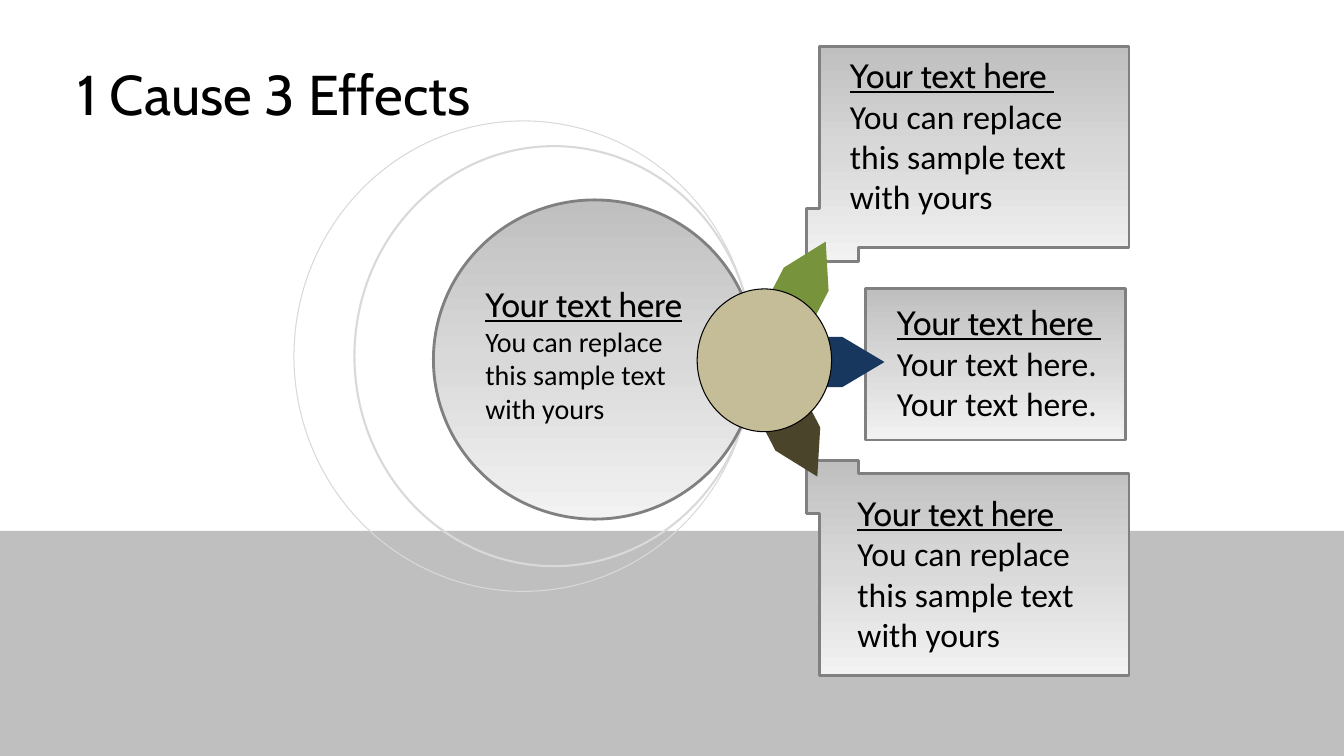
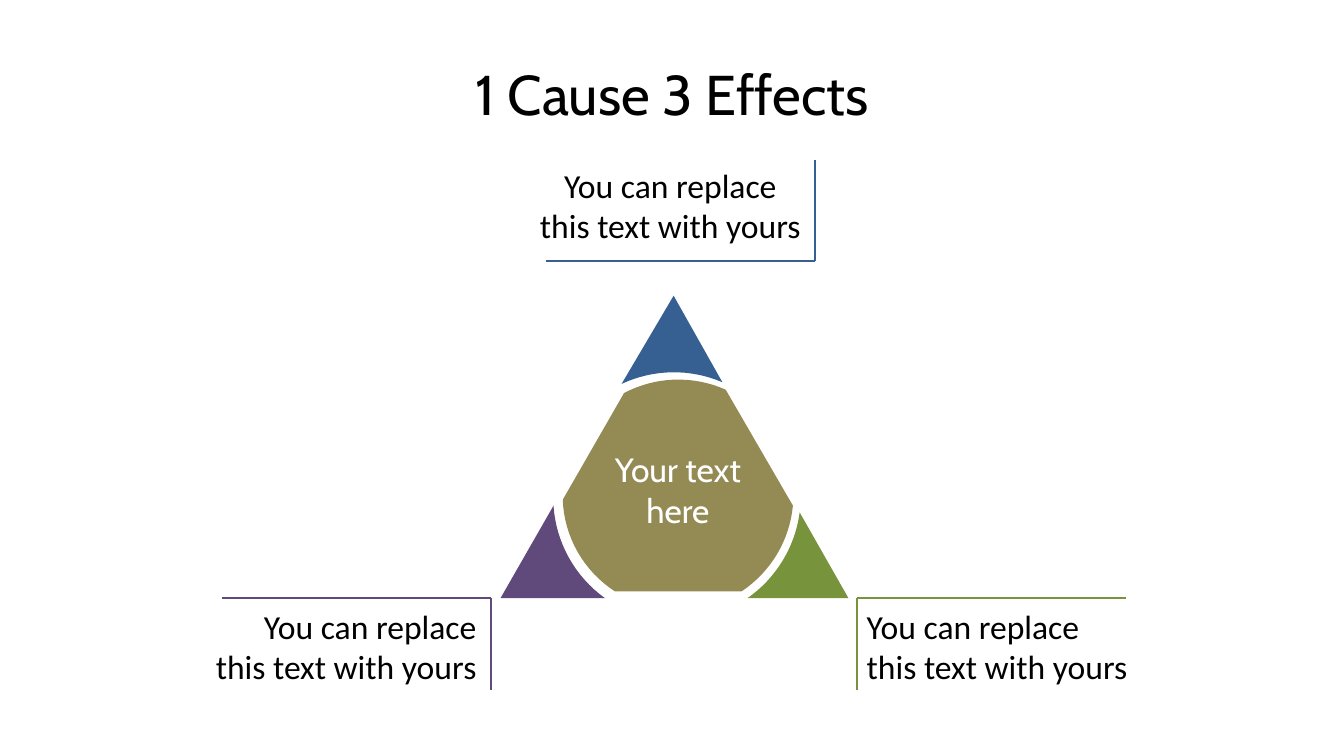
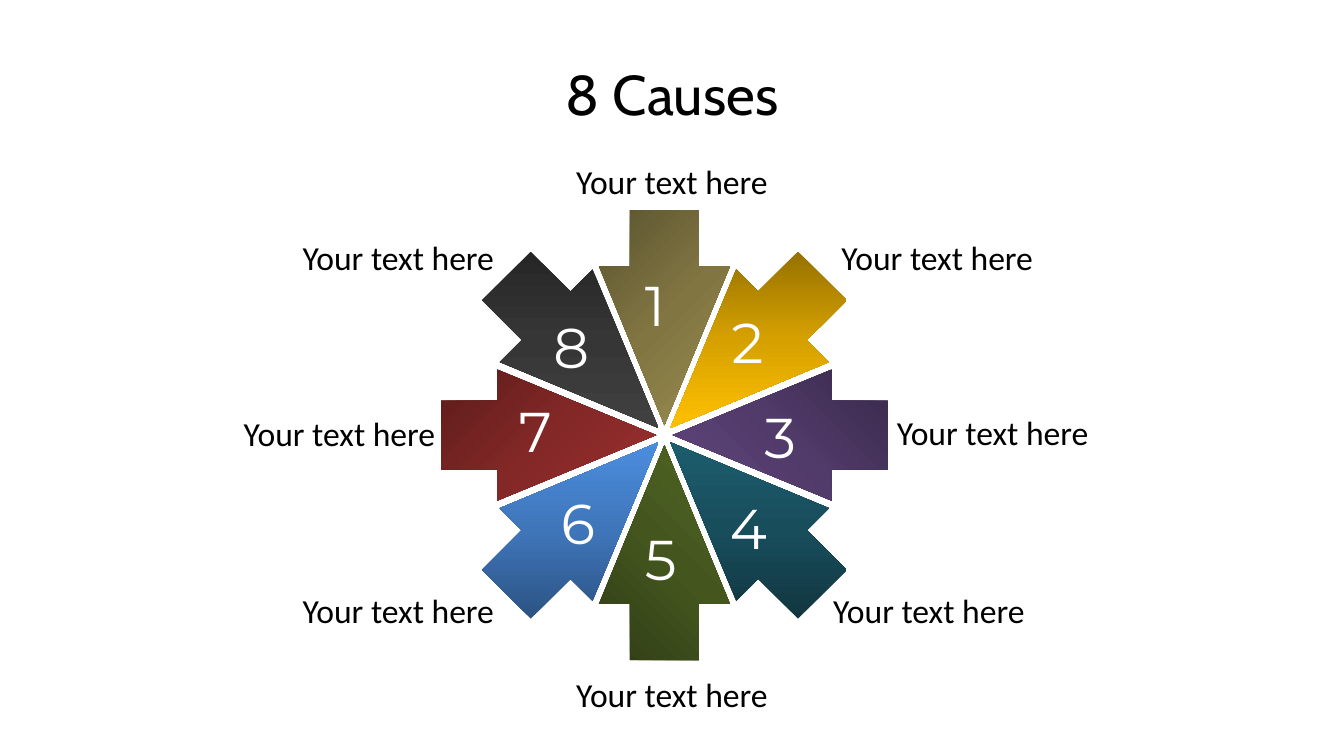
from dataclasses import dataclass
from math import atan2, cos, hypot, pi, radians, sin

from lxml.etree import SubElement
from pptx import Presentation
from pptx.dml.color import RGBColor
from pptx.enum.shapes import MSO_CONNECTOR, MSO_SHAPE
from pptx.enum.text import MSO_ANCHOR, MSO_AUTO_SIZE, PP_ALIGN
from pptx.oxml.ns import qn
from pptx.util import Inches, Pt

LEFT, MID, RIGHT = PP_ALIGN.LEFT, PP_ALIGN.CENTER, PP_ALIGN.RIGHT
COLS, ROWS = 160, 90  # square grid cells on every slide


@dataclass(frozen=True)
class Type:
    font: str
    size: int
    color: str = "000000"
    under: bool = False


class Theme:
    # Colours
    band, ring, edge = "BFBFBF", "D9D9D9", "808080"
    silver = ("BFBFBF", "D9D9D9", "F2F2F2")
    black, sand, khaki, bark = "000000", "C4BD97", "948A54", "4A452A"
    green, navy, blue, purple = "77933C", "17375E", "376092", "604A7B"
    wheel = ("998D4F", "FFC000", "60467E", "1C5C6D",
             "516624", "4B8DDE", "9C302E", "404040")
    # Type
    title = Type("Cabin", 40)
    head = Type("Cabin", 24, under=True)
    core = Type("Cabin", 24, "FFFFFF")
    body = Type("Calibri", 24)
    small = Type("Calibri", 20)
    digit = Type("Montserrat", 40, "FFFFFF")


def shades(color):
    """Dark, middle and full tone of a colour."""
    parts = [int(color[i:i + 2], 16) for i in (0, 2, 4)]
    return ["".join(f"{round(p * k):02X}" for p in parts)
            for k in (0.59, 0.84, 1)]


def arc(mid, start, end, steps=16):
    """Points on the shorter arc around mid, from start to end."""
    (sx, sy), (ex, ey) = [(x - mid[0], y - mid[1]) for x, y in (start, end)]
    turn = atan2(sy, sx)
    sweep = (atan2(ey, ex) - turn + pi) % (2 * pi) - pi
    near, far = hypot(sx, sy), hypot(ex, ey)
    points = []
    for i in range(steps + 1):
        t = i / steps
        r, a = near + (far - near) * t, turn + sweep * t
        points.append((mid[0] + r * cos(a), mid[1] + r * sin(a)))
    return points


class Deck:
    def __init__(self, theme):
        self.theme = theme
        self.prs = Presentation()
        self.prs.slide_width = Inches(13.33)
        self.prs.slide_height = Inches(7.5)
        self.slide = None

    def x(self, cols):
        return round(self.prs.slide_width * cols / COLS)

    def y(self, rows):
        return round(self.prs.slide_height * rows / ROWS)

    def frame(self, box):
        left, top, wide, high = box
        return self.x(left), self.y(top), self.x(wide), self.y(high)

    def new(self, title, align=MID):
        self.slide = self.prs.slides.add_slide(self.prs.slide_layouts[5])
        shape = self.slide.shapes.title
        shape.left, shape.top, shape.width, shape.height = self.frame(
            (8, 3.6, 144, 15))
        shape.text_frame.vertical_anchor = MSO_ANCHOR.MIDDLE
        self.fill_text(shape.text_frame, [(title, self.theme.title)], align)

    def fill_text(self, frame, lines, align):
        frame.text = "\n".join(text for text, _ in lines)
        for para, (_, kind) in zip(frame.paragraphs, lines):
            para.alignment = align
            for run in para.runs:
                font = run.font
                font.name, font.size = kind.font, Pt(kind.size)
                font.underline = kind.under
                font.color.rgb = RGBColor.from_string(kind.color)

    def text(self, box, lines, align=LEFT):
        frame = self.slide.shapes.add_textbox(*self.frame(box)).text_frame
        frame.word_wrap = True
        frame.auto_size = MSO_AUTO_SIZE.SHAPE_TO_FIT_TEXT
        self.fill_text(frame, lines, align)

    def paint(self, shape, fill, line, angle):
        """Fill with a colour, a list of gradient tones, or nothing."""
        shape.shadow.inherit = False
        if fill is None:
            shape.fill.background()
        elif isinstance(fill, str):
            shape.fill.solid()
            shape.fill.fore_color.rgb = RGBColor.from_string(fill)
        else:
            shape.fill.gradient()
            shape.fill.gradient_angle = (360 - angle) % 360
            stops = shape._element.spPr.find(qn("a:gradFill")).find(
                qn("a:gsLst"))
            for stop in list(stops):
                stops.remove(stop)
            for i, tone in enumerate(fill):
                stop = SubElement(stops, qn("a:gs"), pos=str(i * 50000))
                SubElement(stop, qn("a:srgbClr"), val=tone)
        if line is None:
            shape.line.fill.background()
        else:
            shape.line.color.rgb = RGBColor.from_string(line[0])
            shape.line.width = Pt(line[1])

    def shape(self, kind, box, fill=None, line=None, angle=90, turn=0):
        shape = self.slide.shapes.add_shape(kind, *self.frame(box))
        shape.rotation = turn
        self.paint(shape, fill, line, angle)
        return shape

    def outline(self, points, fill, line=None, angle=90):
        spots = [(self.x(x), self.y(y)) for x, y in points]
        form = self.slide.shapes.build_freeform(*spots[0], scale=1.0)
        form.add_line_segments(spots[1:], close=True)
        self.paint(form.convert_to_shape(), fill, line, angle)

    def line(self, start, end, color, width=1.5):
        line = self.slide.shapes.add_connector(
            MSO_CONNECTOR.STRAIGHT, self.x(start[0]), self.y(start[1]),
            self.x(end[0]), self.y(end[1]))
        line.line.color.rgb = RGBColor.from_string(color)
        line.line.width = Pt(width)
        SubElement(line._element.spPr, qn("a:effectLst"))

    def callout(self, top, side):
        """Box with a notched corner; side 1 opens down, -1 opens up."""
        steps = ((96, 0), (96, 6.3), (97.6, 6.3), (97.6, 25.6),
                 (134.4, 25.6), (134.4, 1.6), (102.2, 1.6), (102.2, 0))
        self.outline([(x, top + side * y) for x, y in steps],
                     self.theme.silver, (self.theme.edge, 2))

    def bracket(self, corner, wide, high, color):
        x, y = corner
        self.line(corner, (x, y + high), color)
        self.line(corner, (x + wide, y), color)

    def wedge(self, hub, turn, tones, angle):
        """Arrow that starts near the hub and points outwards."""
        a = radians(turn)
        dx, dy = sin(a), -cos(a)
        tip = hub[0] + dx, hub[1] + 1.2 * dy
        half = ((4.1, 18.9), (4.1, 25.6), (-4.1, 25.6), (-4.1, 18.9),
                (-7.8, 18.9), (0, 0), (7.8, 18.9))
        self.outline([(tip[0] + out * dx - side * dy,
                       tip[1] + out * dy + side * dx)
                      for side, out in half], tones, angle=angle)


def cause(deck):
    th = deck.theme
    edge = (th.edge, 2)
    deck.new("1 Cause 3 Effects", LEFT)
    # Band and rings
    deck.shape(MSO_SHAPE.RECTANGLE, (0, 63.2, COLS, ROWS - 63.2), th.band)
    deck.shape(MSO_SHAPE.OVAL, (35, 14.4, 54.6, 56), line=(th.ring, 0.75))
    deck.shape(MSO_SHAPE.OVAL, (42.2, 17.4, 47.5, 50), line=(th.ring, 1.5))
    # Effect boxes and cause disc
    deck.shape(MSO_SHAPE.RECTANGLE, (103, 34.4, 31, 18), th.silver, edge)
    deck.callout(54.8, 1)
    deck.callout(31.1, -1)
    deck.shape(MSO_SHAPE.OVAL, (51.6, 23.8, 38.4, 38), th.silver, edge)
    # Pointers around the hub
    for left, top, turn, color in ((90, 49.3, 62.6, th.bark),
                                   (91, 30.2, 297.4, th.green),
                                   (95.3, 40.1, 0, th.navy)):
        arrow = deck.shape(MSO_SHAPE.PENTAGON, (left, top, 10, 6), color,
                           turn=turn)
        arrow.adjustments[0] = 0.84
    deck.shape(MSO_SHAPE.OVAL, (83, 34.4, 16, 17), th.sand, (th.black, 0))
    # Texts
    head, sample = "Your text here", "You can replace this sample text with yours"
    deck.text((56.6, 33.2, 26, 18.1), [(head, th.head), (sample, th.small)])
    for box, words in (
            ((100, 6, 33, 20.6), sample),
            ((100.9, 58.1, 33, 20.6), sample),
            ((105.6, 35.4, 29, 15.7), "Your text here. Your text here.")):
        deck.text(box, [(head + " ", th.head), (words, th.body)])


def triangle(deck):
    th = deck.theme
    deck.new("1 Cause 3 Effects")
    # Corners: tip, then the arc that cuts them off
    for tip, start, end, color in (
            ((101, 71.2), (95.2, 61), (89, 71.2), th.green),
            ((80.2, 35.2), (74, 45.7), (86, 45.5), th.blue),
            ((59.6, 71.2), (72, 71.2), (65.9, 60.2), th.purple)):
        deck.outline([tip] + arc((80.5, 59), start, end), color)
    # Labels with brackets
    for left, top, align, corner, wide, high, color in (
            (102, 71.5, LEFT, (102, 71.2), 32, 10.9, th.green),
            (62.8, 19, MID, (97, 31.1), -32, -12, th.blue),
            (23.9, 71.5, RIGHT, (58.4, 71.2), -32, 10.9, th.purple)):
        deck.text((left, top, 34, 10.9),
                  [("You can replace this text with yours", th.body)], align)
        deck.bracket(corner, wide, high, color)
    # Core: three arcs joined by straight sides
    rim = []
    for start, end in (((88.3, 70.4), (94.4, 60.2)),
                       ((86.4, 46.4), (74.3, 46.8)),
                       ((67, 59.5), (73.2, 70.4))):
        rim += arc((80.6, 59), start, end)
    deck.outline(rim, th.khaki)
    deck.text((70.9, 52.9, 19.6, 10.9), [("Your text here", th.core)], MID)


def wheel(deck):
    th = deck.theme
    deck.new("8 Causes")
    # Label place and alignment, digit place, gradient angle
    parts = (
        ((64, 18.6), MID, (75.6, 31.6), 45),
        ((99, 27.6), LEFT, (85.9, 36), 90),
        ((105.6, 48.5), LEFT, (89.8, 47.3), 135),
        ((98, 69.6), LEFT, (85.7, 58.1), 270),
        ((64, 79.6), MID, (75.6, 61.8), 315),
        ((28, 69.6), RIGHT, (65.6, 57.6), 270),
        ((21, 48.6), RIGHT, (60.6, 46.6), 45),
        ((28, 27.6), RIGHT, (64.7, 36.6), 90))
    for i, (label, align, digit, angle) in enumerate(parts):
        deck.wedge((79.1, 51.8), i * 45, shades(th.wheel[i]), angle)
        deck.text((*label, 32, 6), [("Your text here", th.body)], align)
        deck.text((*digit, 7, 9.2), [(str(i + 1), th.digit)])


def main():
    deck = Deck(Theme())
    for build in (cause, triangle, wheel):
        build(deck)
    deck.prs.save("out.pptx")


if __name__ == "__main__":
    main()
